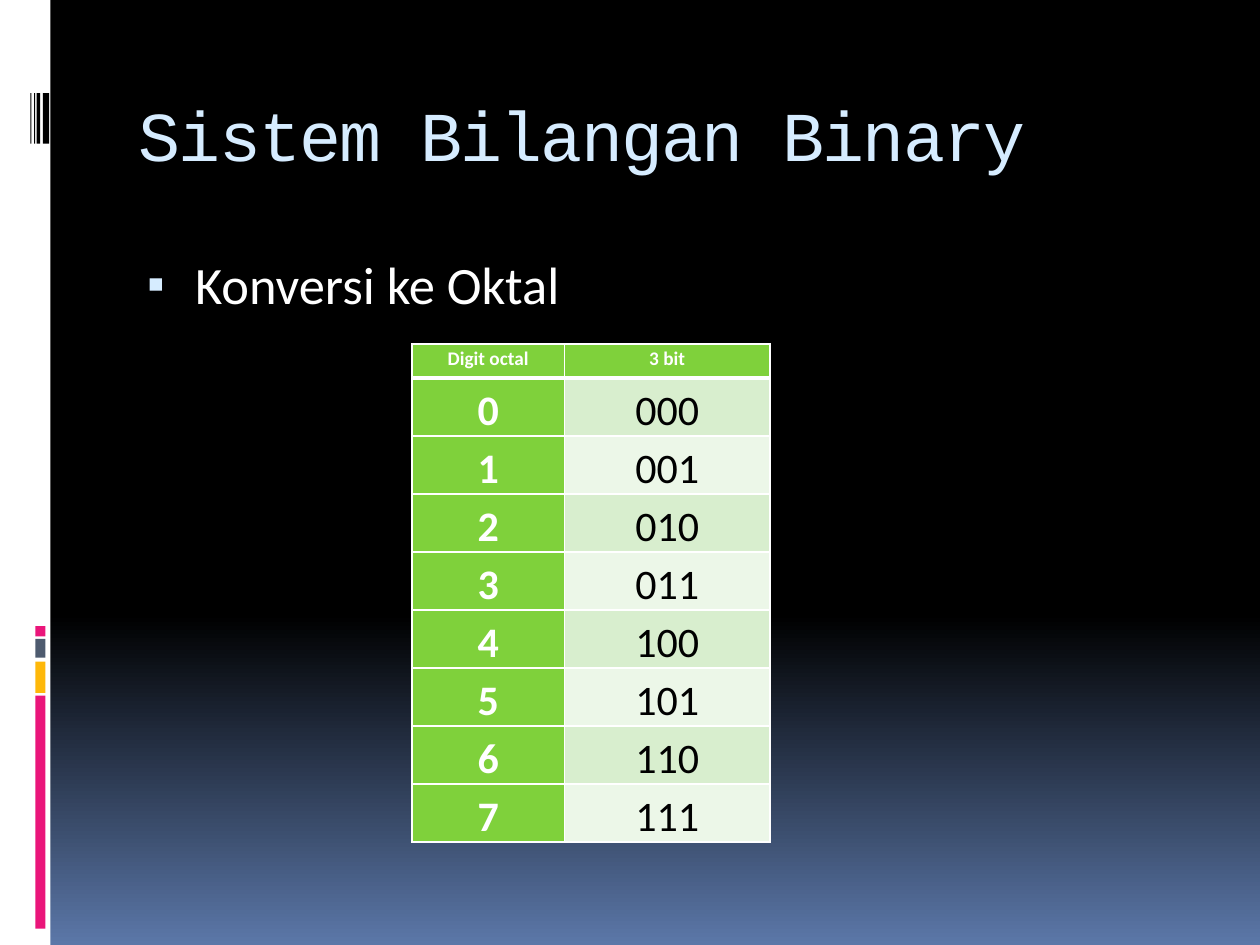
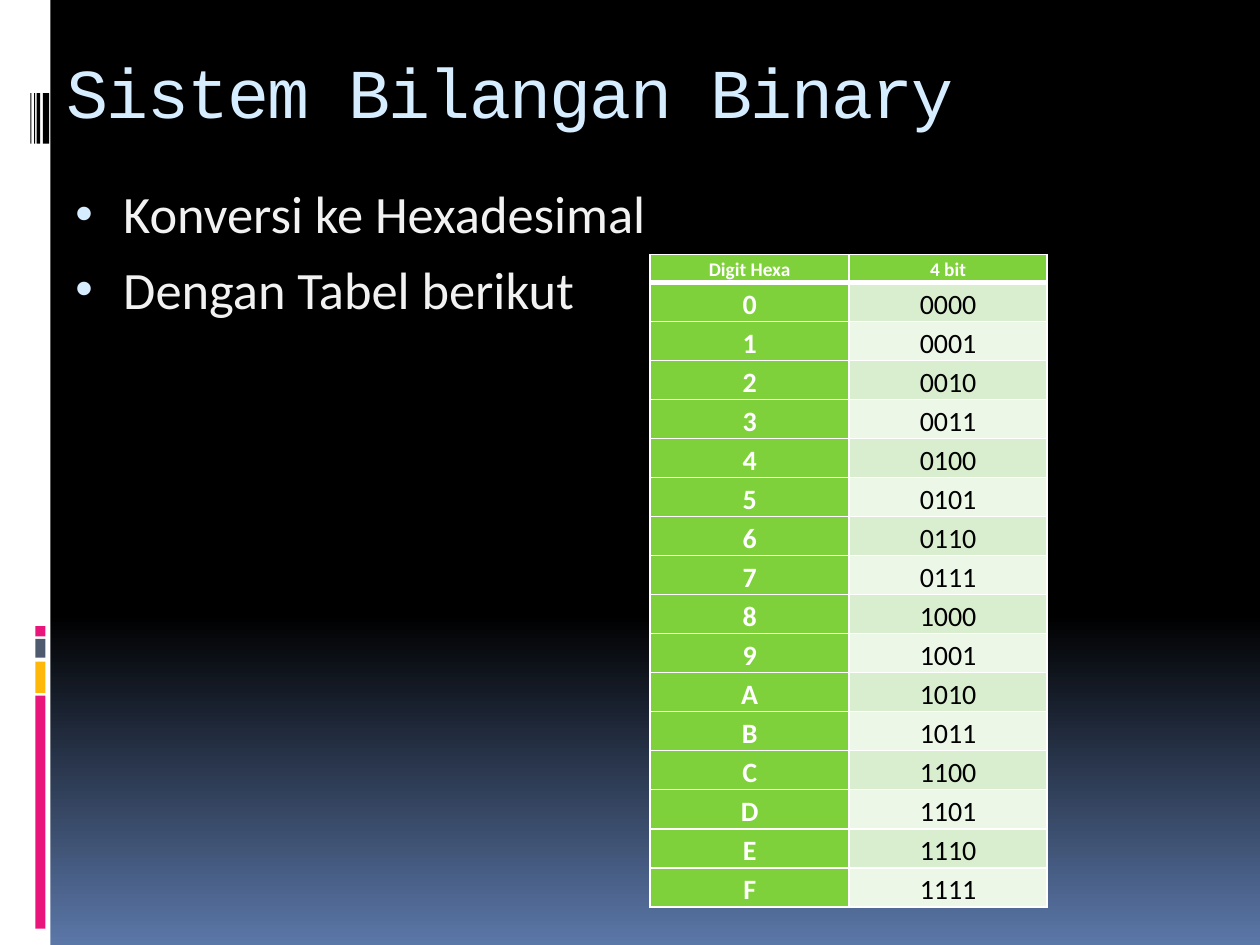
from copy import deepcopy

from lxml.etree import SubElement
from pptx import Presentation
from pptx.dml.color import RGBColor
from pptx.enum.shapes import MSO_SHAPE
from pptx.enum.text import MSO_ANCHOR, MSO_AUTO_SIZE, PP_ALIGN
from pptx.oxml.ns import qn
from pptx.util import Inches, Pt

BLACK = RGBColor(0x00, 0x00, 0x00)
WHITE = RGBColor(0xFF, 0xFF, 0xFF)
OFF_WHITE = RGBColor(0xF2, 0xF2, 0xF2)
DUSK_BLUE = RGBColor(0x5B, 0x77, 0xA8)
PALE_BLUE = RGBColor(0xD6, 0xEC, 0xFF)
PINK = RGBColor(0xEA, 0x15, 0x7A)
AMBER = RGBColor(0xFE, 0xB8, 0x0A)
SLATE = RGBColor(0x4E, 0x5B, 0x6F)
GREEN = RGBColor(0x7F, 0xD1, 0x3B)
BANDS = (RGBColor(0xD8, 0xEE, 0xCE), RGBColor(0xEC, 0xF7, 0xE8))

# Content: boxes are left, top, width, height in inches
TITLE = "Sistem Bilangan Binary"
SLIDES = [
    {
        "title_box": (1, 0.56, 8.5, 1),
        "points": ["Konversi ke Oktal"],
        "points_box": (1, 1.95, 8.5, 5),
        "points_format": {"bullet": "▪", "indent": 0.45, "color": WHITE},
        "header": ("Digit octal", "3 bit"),
        "bits": 3,
        "table_at": (3.27, 2.73),
        "columns": (1.21, 1.63),
        "row_heights": (0.27, 0.46),
        "digit_size": 24,
    },
    {
        "title_box": (0.43, 0.21, 9, 1.02),
        "points": ["Konversi ke Hexadesimal", "Dengan Tabel berikut"],
        "points_box": (0.5, 1.39, 9, 5.91),
        "points_format": {"bullet": "•", "indent": 0.38, "color": OFF_WHITE},
        "header": ("Digit Hexa", "4 bit"),
        "bits": 4,
        "table_at": (5.16, 2.02),
        "columns": (1.58, 1.57),
        "row_heights": (0.22, 0.31),
        "digit_size": 16,
    },
]

# Left band: the white strip, its coloured blocks and the black bars
SIDE_BAND = [
    (0, 0, 0.4, 7.5, WHITE),
    *[(0.28, top, 0.08, height, color) for top, height, color in (
        (5.52, 1.85, PINK), (5.25, 0.25, AMBER), (5.07, 0.15, SLATE), (4.97, 0.08, PINK))],
    *[(left, 0.74, width, 0.4, BLACK) for left, width in (
        (0.34, 0.05), (0.29, 0.03), (0.27, 0.01), (0.24, 0.01))],
]


def inches(values):
    return [Inches(value) for value in values]


def style_run(run, **font_format):
    color = font_format.pop("color")
    for name, value in font_format.items():
        setattr(run.font, name, value)
    run.font.color.rgb = color


def set_background(master):
    fill = master.background.fill
    fill.gradient()
    fill.gradient_angle = 270
    stop_list = master.element.find(".//" + qn("a:gsLst"))
    stop_list.insert(0, deepcopy(stop_list[0]))
    stops = ((0, BLACK), (0.65, BLACK), (1, DUSK_BLUE))
    for stop, (position, color) in zip(fill.gradient_stops, stops):
        stop.position = position
        stop.color.rgb = color


def add_side_band(slide):
    for *box, color in SIDE_BAND:
        block = slide.shapes.add_shape(MSO_SHAPE.RECTANGLE, *inches(box))
        block.shadow.inherit = False
        block.fill.solid()
        block.fill.fore_color.rgb = color
        block.line.fill.background()


def format_title(slide, box):
    title = slide.shapes.title
    for side, value in zip(("left", "top", "width", "height"), inches(box)):
        setattr(title, side, value)
    frame = title.text_frame
    frame.text = TITLE
    frame.auto_size = MSO_AUTO_SIZE.NONE
    frame.vertical_anchor = MSO_ANCHOR.MIDDLE
    paragraph = frame.paragraphs[0]
    paragraph.alignment = PP_ALIGN.LEFT
    run = paragraph.runs[0]
    style_run(run, name="Courier New", size=Pt(40), color=PALE_BLUE)
    run.font._element.set("spc", "-100")


def add_points(slide, points, box, bullet, indent, color):
    frame = slide.shapes.add_textbox(*inches(box)).text_frame
    frame.word_wrap = True
    for index, point in enumerate(points):
        paragraph = frame.add_paragraph() if index else frame.paragraphs[0]
        paragraph.space_before = Pt(7)
        run = paragraph.add_run()
        run.text = point
        style_run(run, name="Calibri", size=Pt(30), color=color)
        # Bullet with hanging indent
        properties = paragraph._p.get_or_add_pPr()
        properties.set("marL", str(Inches(indent)))
        properties.set("indent", str(Inches(-0.38)))
        bullet_color = SubElement(properties, qn("a:buClr"))
        SubElement(bullet_color, qn("a:srgbClr"), val=str(PALE_BLUE))
        SubElement(properties, qn("a:buSzPct"), val="95000")
        SubElement(properties, qn("a:buFont"), typeface="Arial")
        SubElement(properties, qn("a:buChar"), char=bullet)


def set_borders(cell, row):
    widths = {"L": 1, "R": 1, "T": 3 if row == 1 else 1, "B": 3 if row == 0 else 1}
    properties = cell._tc.get_or_add_tcPr()
    for index, (side, width) in enumerate(widths.items()):
        line = SubElement(properties, qn(f"a:ln{side}"), w=str(Pt(width)))
        SubElement(SubElement(line, qn("a:solidFill")), qn("a:srgbClr"), val=str(WHITE))
        properties.insert(index, line)


def format_cell(cell, text, row, column, size):
    is_heading = row == 0 or column == 0
    cell.margin_left = cell.margin_right = Inches(0.07)
    cell.margin_top = cell.margin_bottom = 0
    cell.fill.solid()
    cell.fill.fore_color.rgb = GREEN if is_heading else BANDS[(row - 1) % 2]
    set_borders(cell, row)
    paragraph = cell.text_frame.paragraphs[0]
    paragraph_format = {"alignment": PP_ALIGN.CENTER, "line_spacing": 1.15, "space_after": Pt(10)}
    for name, value in paragraph_format.items():
        setattr(paragraph, name, value)
    run = paragraph.add_run()
    run.text = text
    style_run(run, name="Calibri", size=Pt(size), bold=is_heading,
              color=WHITE if is_heading else BLACK)


def add_digit_table(slide, content):
    # Every digit of the base beside its binary form
    bits = content["bits"]
    rows = [content["header"]]
    rows += [(f"{digit:X}", f"{digit:0{bits}b}") for digit in range(2 ** bits)]
    header_height, digit_height = content["row_heights"]
    heights = [header_height] + [digit_height] * 2 ** bits
    size = (sum(content["columns"]), sum(heights))
    digits = slide.shapes.add_table(
        len(rows), 2, *inches(content["table_at"] + size)).table
    for column, width in zip(digits.columns, content["columns"]):
        column.width = Inches(width)
    for row, (texts, height) in enumerate(zip(rows, heights)):
        digits.rows[row].height = Inches(height)
        for column, text in enumerate(texts):
            format_cell(digits.cell(row, column), text, row, column,
                        content["digit_size"] if row else 11)


def main():
    deck = Presentation()
    deck.slide_width, deck.slide_height = inches((10, 7.5))
    set_background(deck.slide_master)
    for content in SLIDES:
        slide = deck.slides.add_slide(deck.slide_layouts.get_by_name("Title Only"))
        add_side_band(slide)
        format_title(slide, content["title_box"])
        add_points(slide, content["points"], content["points_box"], **content["points_format"])
        add_digit_table(slide, content)
    deck.save("out.pptx")


if __name__ == "__main__":
    main()
